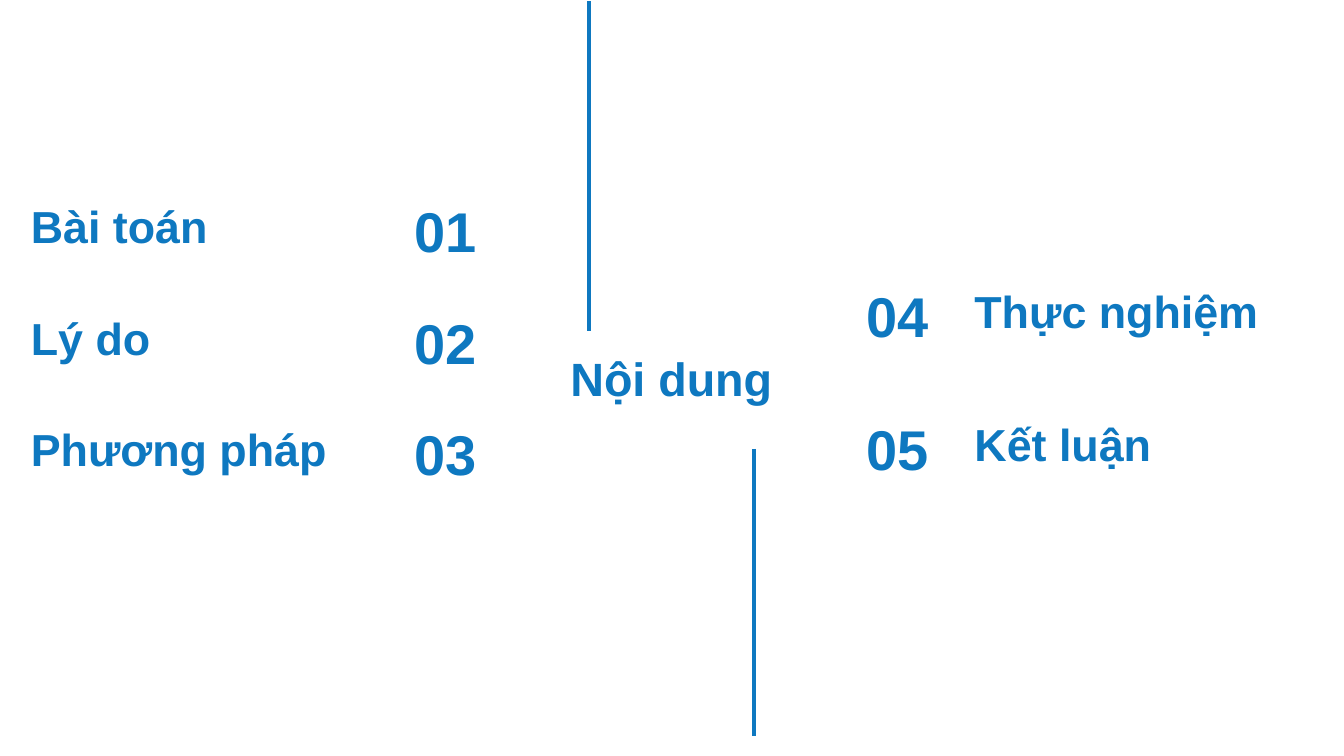
import pptx
import pptx.dml.color
import pptx.enum.shapes
import pptx.enum.text
import pptx.oxml
import pptx.oxml.ns
import pptx.util

Pt = pptx.util.Pt
ALIGN = pptx.enum.text.PP_ALIGN
ANCHOR = pptx.enum.text.MSO_ANCHOR

BLUE = pptx.dml.color.RGBColor(0x0E, 0x78, 0xC0)
WHITE = pptx.dml.color.RGBColor(0xFF, 0xFF, 0xFF)
FONT = "Arial"
INSET = 5.04
ROW_HEIGHT = 33.84
LEFT_ITEMS = ["Bài toán", "Lý do", "Phương pháp"]
RIGHT_ITEMS = ["Thực nghiệm", "Kết luận"]


def write_text(box, text, size, align, anchor):
    frame = box.text_frame
    frame.word_wrap = True
    frame.auto_size = pptx.enum.text.MSO_AUTO_SIZE.NONE
    frame.vertical_anchor = anchor
    frame.margin_left = frame.margin_right = Pt(INSET)
    frame.margin_top = frame.margin_bottom = Pt(INSET)
    para = frame.paragraphs[0]
    para.alignment = align
    span = para.add_run()
    span.text = text
    span.font.name = FONT
    span.font.size = Pt(size)
    span.font.bold = True
    span.font.color.rgb = BLUE


def add_title(page, text):
    box = page.shapes.title
    box.left, box.top = Pt(266.4), Pt(174.24)
    box.width, box.height = Pt(186.48), Pt(56.16)
    write_text(box, text, 25, ALIGN.CENTER, ANCHOR.MIDDLE)


def add_label(page, left, top, width, text, size, align, anchor):
    box = page.shapes.add_textbox(Pt(left), Pt(top), Pt(width), Pt(ROW_HEIGHT))
    write_text(box, text, size, align, anchor)


def add_agenda(page, items, first, top, step, name_left, name_width,
               number_left, number_width, number_align):
    for index, name in enumerate(items):
        row_top = top + index * step
        add_label(page, name_left, row_top, name_width, name,
                  24, ALIGN.LEFT, ANCHOR.BOTTOM)
        add_label(page, number_left, row_top, number_width,
                  f"{first + index:02d}", 30, number_align, ANCHOR.MIDDLE)


def add_vertical_line(page, x, top, bottom):
    line = page.shapes.add_connector(
        pptx.enum.shapes.MSO_CONNECTOR.STRAIGHT,
        Pt(x), Pt(top), Pt(x), Pt(bottom))
    line.line.color.rgb = BLUE
    line.line.width = Pt(2.25)
    line._element.spPr.append(pptx.oxml.parse_xml(
        f"<a:effectLst {pptx.oxml.ns.nsdecls('a')}/>"))


def main():
    deck = pptx.Presentation()
    deck.slide_width, deck.slide_height = Pt(720), Pt(405)
    page = deck.slides.add_slide(deck.slide_layouts[5])
    page.background.fill.solid()
    page.background.fill.fore_color.rgb = WHITE
    add_title(page, "Nội dung")
    add_agenda(page, LEFT_ITEMS, 1, 106.56, 59.76,
               11.52, 242.64, 173.52, 87.12, ALIGN.RIGHT)
    add_agenda(page, RIGHT_ITEMS, 4, 151.92, 71.28,
               516.96, 195.12, 459.36, 84.24, ALIGN.LEFT)
    add_vertical_line(page, 315.36, 0.72, 177.12)
    add_vertical_line(page, 403.92, 240.48, 394.56)
    deck.save("out.pptx")


if __name__ == "__main__":
    main()
